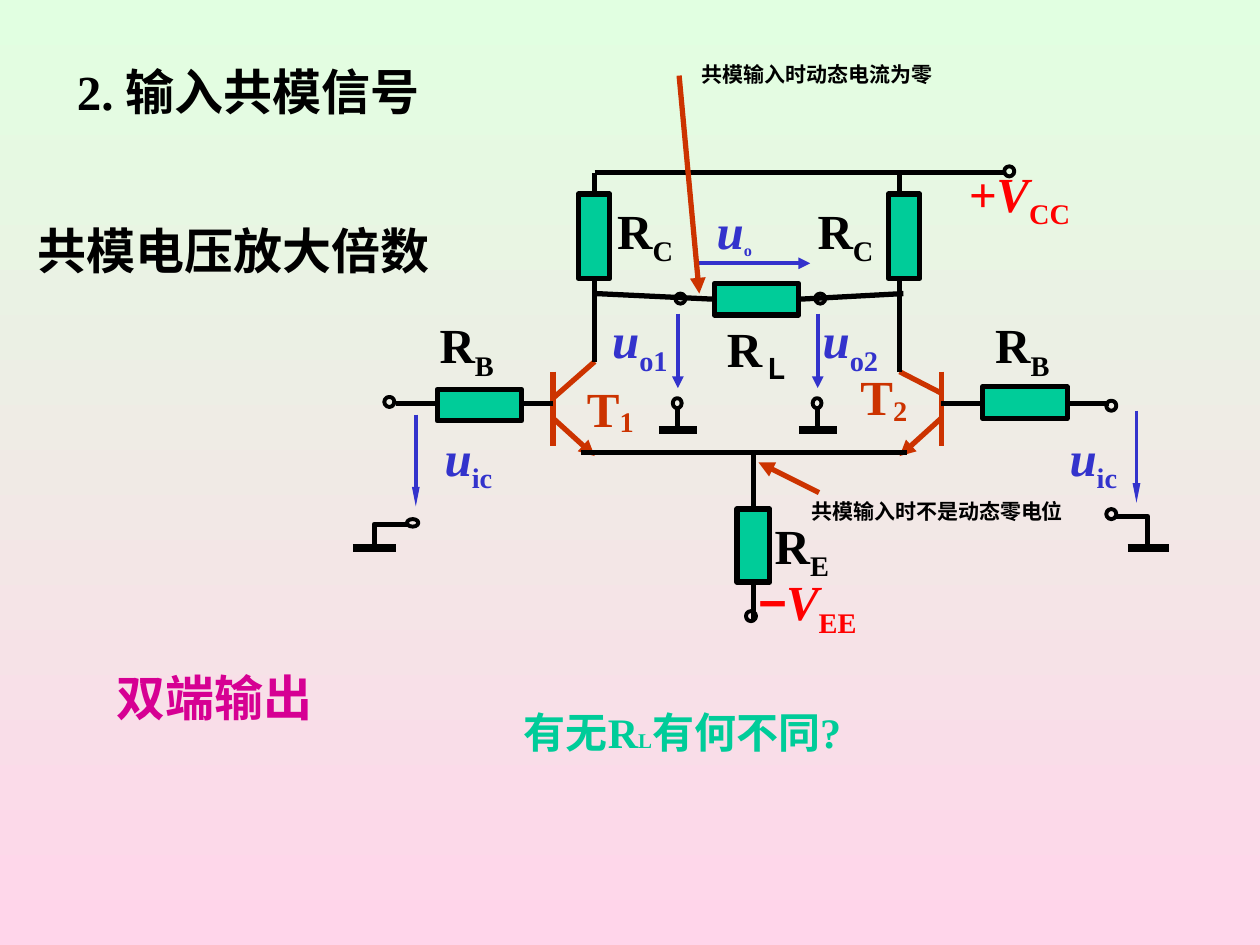
from lxml import etree
from pptx import Presentation
from pptx.dml.color import RGBColor
from pptx.enum.shapes import MSO_CONNECTOR, MSO_SHAPE
from pptx.enum.text import MSO_ANCHOR, MSO_AUTO_SIZE, PP_ALIGN
from pptx.oxml.ns import qn
from pptx.util import Inches, Pt

STRAIGHT = MSO_CONNECTOR.STRAIGHT
RECTANGLE, OVAL = MSO_SHAPE.RECTANGLE, MSO_SHAPE.OVAL
TOP, MIDDLE = MSO_ANCHOR.TOP, MSO_ANCHOR.MIDDLE
LEFT, CENTER = PP_ALIGN.LEFT, PP_ALIGN.CENTER
FIT_TEXT = MSO_AUTO_SIZE.SHAPE_TO_FIT_TEXT

BLACK, BLUE, RUST, RED = "000000", "3333CC", "CC3300", "FF0000"
GREEN, MAGENTA = "00CC99", "D60093"
SERIF, SANS = "Times New Roman", "Arial"
BACKGROUND = ("E1FFE1", "FFD5EA")
MEDIUM, SLENDER = ("med", "med"), ("sm", "lg")

TITLE = ("2. 输入共模信号", (0.51, 0.44, 3.83, 0.57))
HEADINGS = [
    ("共模电压放大倍数", (0.2, 1.7, 4.42, 0.57), 28, BLACK),
    ("双端输出", (0.83, 5.25, 2.56, 0.57), 28, MAGENTA),
    ("共模输入时不是动态零电位", (6.34, 3.91, 2.28, 0.3), 12, BLACK),
    ("共模输入时动态电流为零", (5.47, 0.44, 2.13, 0.3), 12, BLACK),
]
QUESTION = ([("有无R", 24), ("L", 12), ("有何不同?", 24)], (4.06, 5.56, 3.62, 0.5))

RESISTOR_LABELS = [
    ("C", 4.8, 1.54), ("C", 6.39, 1.54), ("B", 3.39, 2.45),
    ("B", 7.8, 2.45), ("E", 6.05, 4.04), ("Ｌ", 5.67, 2.48),
]
VOLTAGE_LABELS = [
    ("ic", 3.43, 3.34, 28), ("ic", 8.39, 3.34, 28),
    ("o1", 4.76, 2.41, 28), ("o2", 6.43, 2.41, 28), ("o", 5.59, 1.54, 16),
]
TRANSISTOR_LABELS = [("1", 4.56, 2.95), ("2", 6.73, 2.86)]

WIRES = [
    (3.14, 3.2, 4.39, 3.2), (7.47, 3.2, 8.8, 3.2),
    (4.72, 1.37, 4.72, 2.87), (7.14, 1.37, 7.14, 2.95),
    (4.72, 1.37, 7.97, 1.37), (4.61, 3.59, 7.2, 3.59),
]
RESISTORS = {
    "RC left": (4.59, 1.54, 0.25, 0.67), "RC right": (7.05, 1.54, 0.25, 0.67),
    "RB left": (3.47, 3.09, 0.67, 0.25), "RB right": (7.8, 3.07, 0.67, 0.25),
    "RL": (5.67, 2.25, 0.67, 0.25), "RE": (5.85, 4.04, 0.26, 0.58),
}
RESISTOR_LEADS = [
    ("RL", 1, 4.73, 2.33, 5.67, 2.37), ("RL", 3, 7.17, 2.33, 6.34, 2.37),
    ("RE", 0, 5.98, 3.59, 5.98, 4.04), ("RE", 2, 5.98, 4.93, 5.98, 4.62),
]
TRANSISTORS = [(4.39, 4.72, 3.16, 2.87), (7.47, 7.14, 3.12, 2.95)]
TERMINALS = [
    (8.78, 3.18), (7.97, 1.32), (5.36, 2.33), (6.47, 2.33), (5.92, 4.85),
    (3.05, 3.15), (8.78, 4.04),
]
INPUT_GROUNDS = [
    ([(3.23, 4.16), (2.97, 4.16), (2.97, 4.35)], 2.8, 3.14),
    ([(8.86, 4.1), (9.11, 4.1), (9.11, 4.35)], 8.95, 9.28),
]
OUTPUT_COLUMNS = [5.38, 6.49]
INPUT_ARROWS = [(3.3, 3.29, 3.3, 4.02), (9.02, 3.26, 9.02, 3.99)]
POINTERS = [(6.5, 3.91, 6.02, 3.67), (5.39, 0.6, 5.55, 2.33)]

deck = Presentation()
deck.slide_width, deck.slide_height = Inches(10), Inches(7.5)
page = deck.slides.add_slide(deck.slide_layouts[5])
shapes = page.shapes


def color(value):
    return RGBColor.from_string(value)


def fill_text(box, spans, hue, anchor=TOP, align=LEFT, wrap=True):
    frame = box.text_frame
    frame.word_wrap = wrap
    frame.auto_size = FIT_TEXT
    frame.vertical_anchor = anchor
    para = frame.paragraphs[0]
    para.alignment = align
    for text, size, italic, baseline, face in spans:
        span = para.add_run()
        span.text = text
        span.font.name, span.font.size = face, Pt(size)
        span.font.bold, span.font.italic = True, italic
        span.font.color.rgb = color(hue)
        if baseline:
            span._r.get_or_add_rPr().set("baseline", str(baseline * 1000))


def add_text(place, spans, hue, **layout):
    fill_text(shapes.add_textbox(*map(Inches, place)), spans, hue, **layout)


def plain(text, size=28, italic=False, face=SERIF):
    return (text, size, italic, 0, face)


def subscript(text, size=28, drop=-25):
    return (text, size, False, drop, SERIF)


def add_line(ends, hue=BLACK, width=3, arrow=None):
    line = shapes.add_connector(STRAIGHT, *map(Inches, ends))
    line.line.color.rgb, line.line.width = color(hue), Pt(width)
    if arrow:
        head = etree.SubElement(line.line._get_or_add_ln(), qn("a:tailEnd"))
        for key, value in zip(("type", "w", "len"), ("triangle", *arrow)):
            head.set(key, value)
    etree.SubElement(line._element.spPr, qn("a:effectLst"))
    return line


def style_outline(shape, width, fill=None):
    shape.shadow.inherit = False
    shape.line.color.rgb, shape.line.width = color(BLACK), Pt(width)
    if fill:
        shape.fill.solid()
        shape.fill.fore_color.rgb = color(fill)
    else:
        shape.fill.background()


def add_outline(kind, place, width, fill=None):
    shape = shapes.add_shape(kind, *map(Inches, place))
    style_outline(shape, width, fill)
    return shape


background = page.background.fill
background.gradient()
background.gradient_angle = 270
for stop, hue in zip(background.gradient_stops, BACKGROUND):
    stop.color.rgb = color(hue)

title = shapes.title
title.left, title.top, title.width, title.height = map(Inches, TITLE[1])
fill_text(title, [plain(TITLE[0])], BLACK)

for base, side, collector_start, collector_end in TRANSISTORS:
    add_line((base, 2.95, base, 3.54), RUST)
    add_line((base, collector_start, side, collector_end), RUST)
    add_line((base, 3.32, side, 3.62), RUST, arrow=MEDIUM)
for ends in WIRES:
    add_line(ends)
resistors = {name: add_outline(RECTANGLE, place, 3, GREEN)
             for name, place in RESISTORS.items()}
for name, side, *ends in RESISTOR_LEADS:
    add_line(ends).end_connect(resistors[name], side)

for left, top in TERMINALS:
    add_outline(OVAL, (left, top, 0.08, 0.08), 2.25)
add_outline(OVAL, (3.23, 4.12, 0.09, 0.06), 2.25)
for points, start, end in INPUT_GROUNDS:
    corners = [(Inches(x), Inches(y)) for x, y in points]
    builder = shapes.build_freeform(*corners[0])
    builder.add_line_segments(corners[1:], close=False)
    style_outline(builder.convert_to_shape(), 3)
    add_line((start, 4.35, end, 4.35), width=4.5)
for x in OUTPUT_COLUMNS:
    add_line((x, 2.49, x, 3.08), BLUE, 2.25, MEDIUM)
    add_outline(OVAL, (x - 0.04, 3.16, 0.07, 0.08), 2.25)
    add_line((x, 3.24, x, 3.41))
    add_line((x - 0.15, 3.41, x + 0.15, 3.41), width=4.5)
add_line((5.51, 2.09, 6.43, 2.09), BLUE, 2.25, MEDIUM)
for ends in INPUT_ARROWS:
    add_line(ends, BLUE, 2.25, SLENDER)

for mark, left, top in RESISTOR_LABELS:
    add_text((left, top, 0.75, 0.63), [plain("R"), subscript(mark)], BLACK)
for mark, left, top, size in VOLTAGE_LABELS:
    add_text((left, top, 0.83, 0.63), [plain("u", italic=True), subscript(mark, size)], BLUE)
for mark, left, top in TRANSISTOR_LABELS:
    add_text((left, top, 0.57, 0.58), [plain("T"), subscript(mark, drop=-12)], RUST,
             anchor=MIDDLE, align=CENTER, wrap=False)
add_text((7.39, 1.25, 1.4, 0.63), [plain("+V", italic=True), subscript("CC")], RED,
         anchor=MIDDLE, align=CENTER)
add_text((5.89, 4.49, 1.03, 0.63),
         [plain("−", italic=True, face=SANS), plain("V", italic=True), subscript("EE")], RED,
         anchor=MIDDLE, align=CENTER)

for text, place, size, hue in HEADINGS:
    add_text(place, [plain(text, size)], hue)
add_text(QUESTION[1], [plain(text, size) for text, size in QUESTION[0]], GREEN)
for ends in POINTERS:
    add_line(ends, RUST, arrow=MEDIUM)

deck.save("out.pptx")
